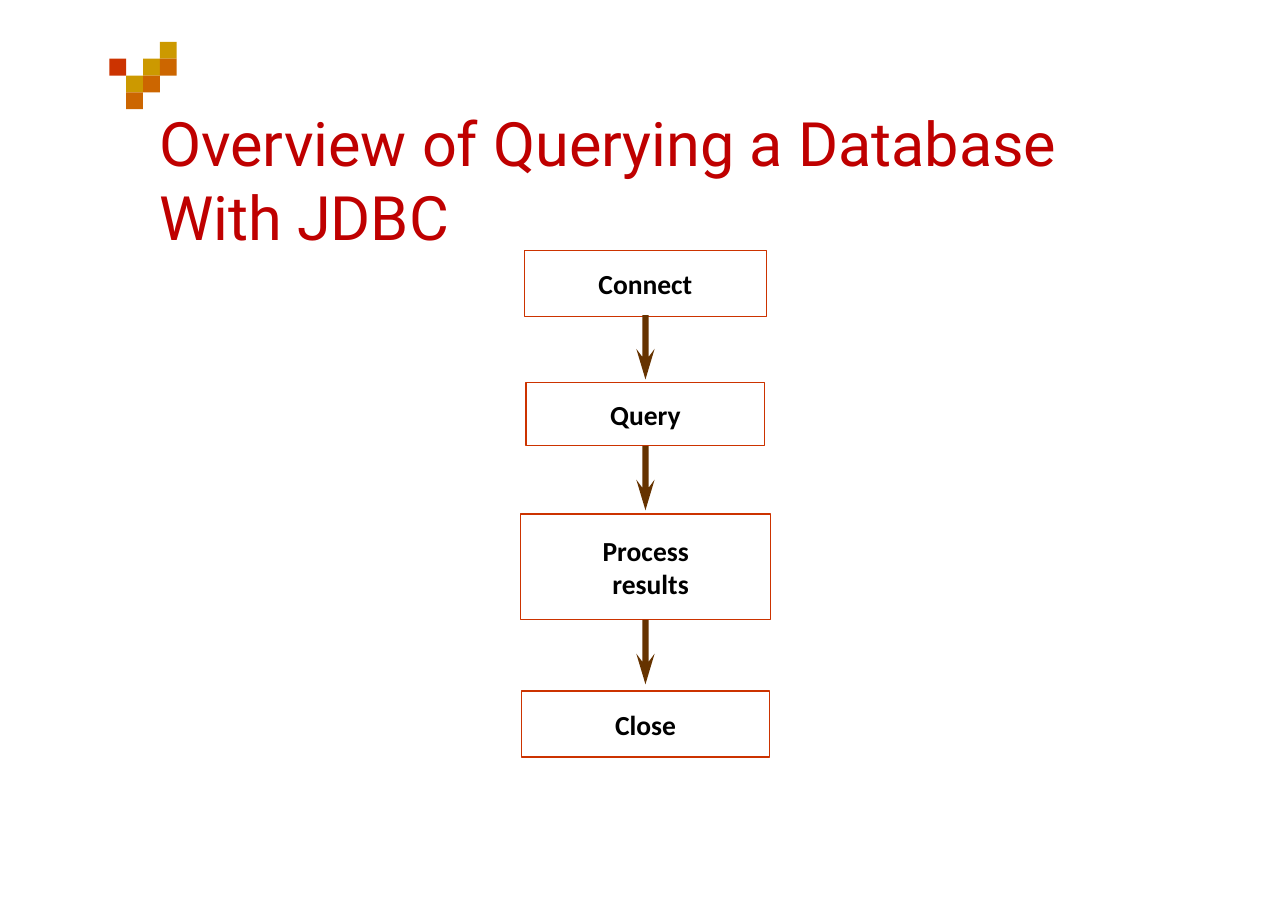
import pptx
import pptx.util
import pptx.dml.color
import pptx.enum.shapes
import pptx.enum.text
from dataclasses import dataclass

Pt = pptx.util.Pt
Align = pptx.enum.text.PP_ALIGN


@dataclass
class Theme:
    gold: str = "CC9900"
    amber: str = "CC6600"
    red: str = "CC3300"
    brown: str = "663300"
    title: str = "BF0000"
    ink: str = "000000"
    head: str = "Roboto"
    body: str = "Calibri"
    big: int = 40
    small: int = 18
    line: float = 0.9


class Deck:
    def __init__(self, theme, slide):
        self.theme = theme
        self.slide = slide

    def paint(self, shape, color):
        shape.shadow.inherit = False
        shape.fill.solid()
        shape.fill.fore_color.rgb = pptx.dml.color.RGBColor.from_string(color)
        shape.line.fill.background()

    def label(self, shape, text, name, size, color, bold, align, pads):
        frame = shape.text_frame
        frame.word_wrap = True
        frame.margin_left, frame.margin_right = map(Pt, pads)
        frame.margin_top = frame.margin_bottom = 0
        frame.text = text
        para = frame.paragraphs[0]
        para.alignment = align
        font = para.font
        font.name, font.size, font.bold = name, Pt(size), bold
        font.color.rgb = pptx.dml.color.RGBColor.from_string(color)

    def rect(self, left, top, width, height):
        kind = pptx.enum.shapes.MSO_SHAPE.RECTANGLE
        return self.slide.shapes.add_shape(
            kind, Pt(left), Pt(top), Pt(width), Pt(height))

    def tile(self, left, top, size, color):
        self.paint(self.rect(left, top, size, size), color)

    def title(self, text, left, top, width, height):
        box = self.slide.shapes.add_textbox(
            Pt(left), Pt(top), Pt(width), Pt(height))
        theme = self.theme
        self.label(box, text, theme.head, theme.big, theme.title,
                   False, Align.LEFT, (1, 0))

    def step(self, text, mid, top, width, height, align, pads):
        box = self.rect(mid - width / 2, top, width, height)
        theme = self.theme
        box.shadow.inherit = False
        box.fill.background()
        box.line.color.rgb = pptx.dml.color.RGBColor.from_string(theme.red)
        box.line.width = Pt(theme.line)
        box.text_frame.vertical_anchor = pptx.enum.text.MSO_ANCHOR.MIDDLE
        self.label(box, text, theme.body, theme.small, theme.ink,
                   True, align, pads)

    def arrow(self, mid, top):
        side = [(2, 0), (2, 27.4), (6, 22), (0, 42)]
        points = side + [(-x, y) for x, y in side[-2::-1]]
        spots = [(Pt(mid + x), Pt(top + y)) for x, y in points]
        form = self.slide.shapes.build_freeform(*spots[0], scale=1.0)
        form.add_line_segments(spots[1:], close=True)
        self.paint(form.convert_to_shape(), self.theme.brown)


def main():
    show = pptx.Presentation()
    show.slide_width, show.slide_height = Pt(841.68), Pt(594.72)
    theme = Theme()
    deck = Deck(theme, show.slides.add_slide(show.slide_layouts[6]))

    cell = 11
    tiles = [(0, 1, theme.red), (1, 2, theme.gold), (1, 3, theme.amber),
             (2, 1, theme.gold), (2, 2, theme.amber),
             (3, 0, theme.gold), (3, 1, theme.amber)]
    for col, row, color in tiles:
        deck.tile(71.5 + col * cell, 27.4 + row * cell, cell, color)

    deck.title("Overview of Querying a Database With JDBC", 103, 69, 603, 95)

    mid = 421.8
    steps = [("Connect", 163.8, 158, 43, Align.CENTER, (0, 0)),
             ("Query", 250.1, 156, 41, Align.CENTER, (0, 0)),
             ("Process results", 335.9, 163.4, 69, Align.RIGHT, (40, 53.3)),
             ("Close", 451.6, 162, 43.2, Align.CENTER, (0, 0))]
    for text, top, width, height, align, pads in steps:
        deck.step(text, mid, top, width, height, align, pads)
    for top in (206, 291.5, 405.2):
        deck.arrow(mid, top)

    show.save("out.pptx")


if __name__ == "__main__":
    main()
